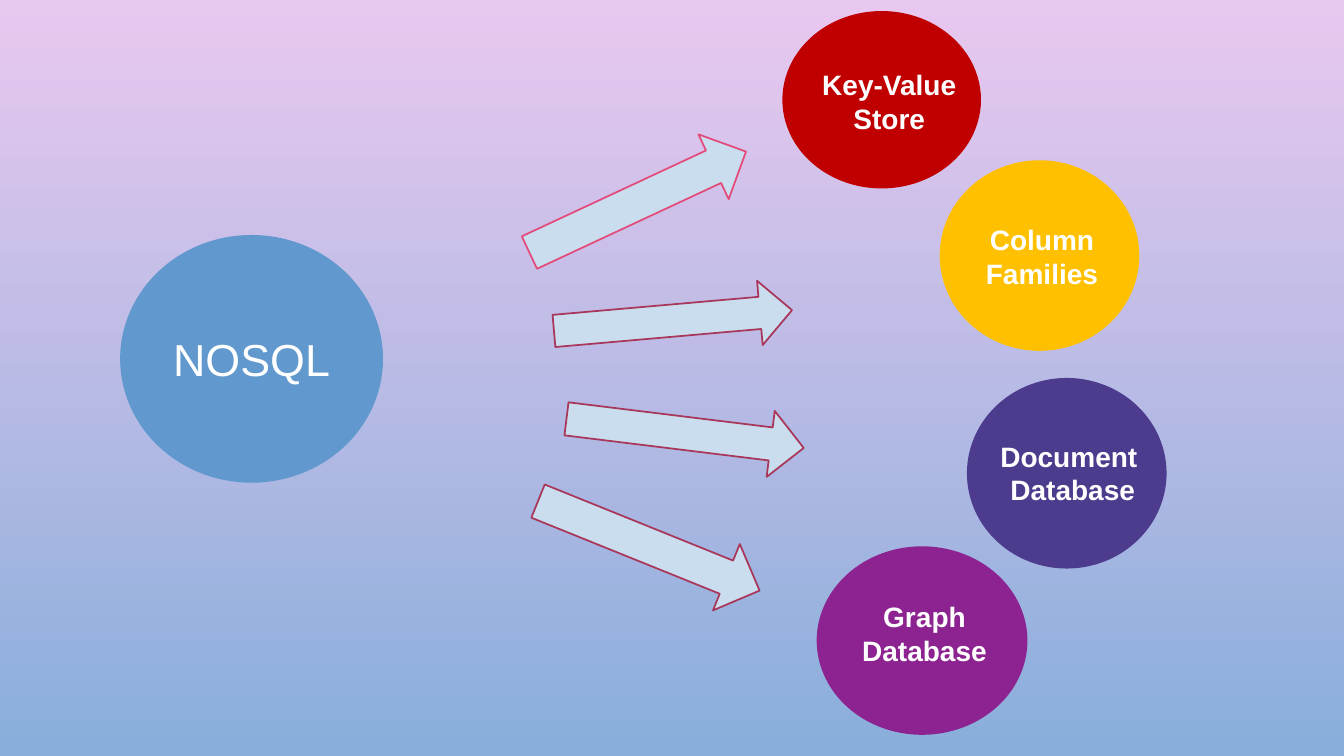
from dataclasses import dataclass
from typing import Optional

from pptx import Presentation
from pptx.dml.color import RGBColor
from pptx.enum.shapes import MSO_SHAPE
from pptx.enum.text import MSO_ANCHOR, MSO_AUTO_SIZE, PP_ALIGN
from pptx.shapes.autoshape import Shape
from pptx.slide import Slide
from pptx.text.text import TextFrame
from pptx.util import Inches, Pt

PINK = RGBColor(0xE9, 0xC8, 0xEF)
SKY = RGBColor(0x89, 0xAE, 0xDB)
BLUE = RGBColor(0x61, 0x98, 0xCE)
PALE = RGBColor(0xCA, 0xDD, 0xEF)
ROSE = RGBColor(0xE3, 0x4B, 0x7A)
WINE = RGBColor(0xA8, 0x37, 0x5A)
PLUM = RGBColor(0x8C, 0x23, 0x90)
INDIGO = RGBColor(0x4D, 0x3B, 0x8D)
GOLD = RGBColor(0xFF, 0xC0, 0x00)
RED = RGBColor(0xC0, 0x00, 0x00)
WHITE = RGBColor(0xFF, 0xFF, 0xFF)


@dataclass(frozen=True)
class Box:
    left: float
    top: float
    width: float
    height: float

    def place(self) -> list[int]:
        return [Inches(n) for n in (self.left, self.top, self.width, self.height)]


@dataclass(frozen=True)
class Arrow:
    box: Box
    turn: float
    line: RGBColor


@dataclass(frozen=True)
class Store:
    disc: Box
    fill: RGBColor
    label: Box
    lines: tuple[str, str]


ARROWS = [
    Arrow(Box(5.14, 1.65, 2.37, 0.71), 335, ROSE),
    Arrow(Box(5.49, 2.86, 2.37, 0.64), 355, WINE),
    Arrow(Box(5.61, 3.97, 2.37, 0.66), 7, WINE),
    Arrow(Box(5.25, 5.06, 2.37, 0.71), 22, WINE),
]

STORES = [
    Store(Box(8.1, 5.42, 2.09, 1.87), PLUM,
          Box(7.67, 5.9, 3, 0.77), ("Graph", "Database")),
    Store(Box(9.59, 3.75, 1.98, 1.89), INDIGO,
          Box(9.14, 4.31, 3, 0.77), ("Document ", "Database")),
    Store(Box(9.32, 1.59, 1.98, 1.89), GOLD,
          Box(9.37, 2.16, 1.93, 0.77), ("Column", "Families")),
    Store(Box(7.76, 0.11, 1.97, 1.76), RED,
          Box(7.91, 0.62, 1.82, 0.77), ("Key-Value", "Store")),
]


def write(frame: TextFrame, *lines: str, size: int = 20, bold: bool = False,
          color: RGBColor = WHITE, font: str = "Arial") -> None:
    frame.word_wrap = True
    for i, line in enumerate(lines):
        para = frame.add_paragraph() if i else frame.paragraphs[0]
        para.alignment = PP_ALIGN.CENTER
        run = para.add_run()
        run.text = line
        run.font.name = font
        run.font.size = Pt(size)
        run.font.bold = bold
        run.font.color.rgb = color


def draw(slide: Slide, kind: MSO_SHAPE, box: Box, fill: RGBColor,
         line: Optional[RGBColor] = None, turn: float = 0) -> Shape:
    shape = slide.shapes.add_shape(kind, *box.place())
    shape.shadow.inherit = False
    shape.rotation = turn
    shape.fill.solid()
    shape.fill.fore_color.rgb = fill
    if line is None:
        shape.line.fill.background()
    else:
        shape.line.color.rgb = line
        shape.line.width = Pt(1.25)
    return shape


def paint(slide: Slide) -> None:
    fill = slide.background.fill
    fill.gradient()
    fill.gradient_angle = 270
    for stop, color in zip(fill.gradient_stops, (PINK, SKY)):
        stop.color.rgb = color


def label(slide: Slide, store: Store) -> None:
    frame = slide.shapes.add_textbox(*store.label.place()).text_frame
    write(frame, *store.lines, bold=True)
    frame.auto_size = MSO_AUTO_SIZE.SHAPE_TO_FIT_TEXT


def main() -> None:
    deck = Presentation()
    deck.slide_width, deck.slide_height = Inches(13.33), Inches(7.5)
    slide = deck.slides.add_slide(deck.slide_layouts[6])
    paint(slide)

    disc = MSO_SHAPE.FLOWCHART_CONNECTOR
    hub = draw(slide, disc, Box(1.2, 2.34, 2.59, 2.44), BLUE, line=BLUE)
    hub.text_frame.vertical_anchor = MSO_ANCHOR.MIDDLE
    write(hub.text_frame, "NOSQL", size=32)

    for arrow in ARROWS:
        draw(slide, MSO_SHAPE.RIGHT_ARROW, arrow.box, PALE,
             line=arrow.line, turn=arrow.turn)
    for store in STORES:
        draw(slide, disc, store.disc, store.fill)
    for store in reversed(STORES):
        label(slide, store)

    deck.save("out.pptx")


if __name__ == "__main__":
    main()
